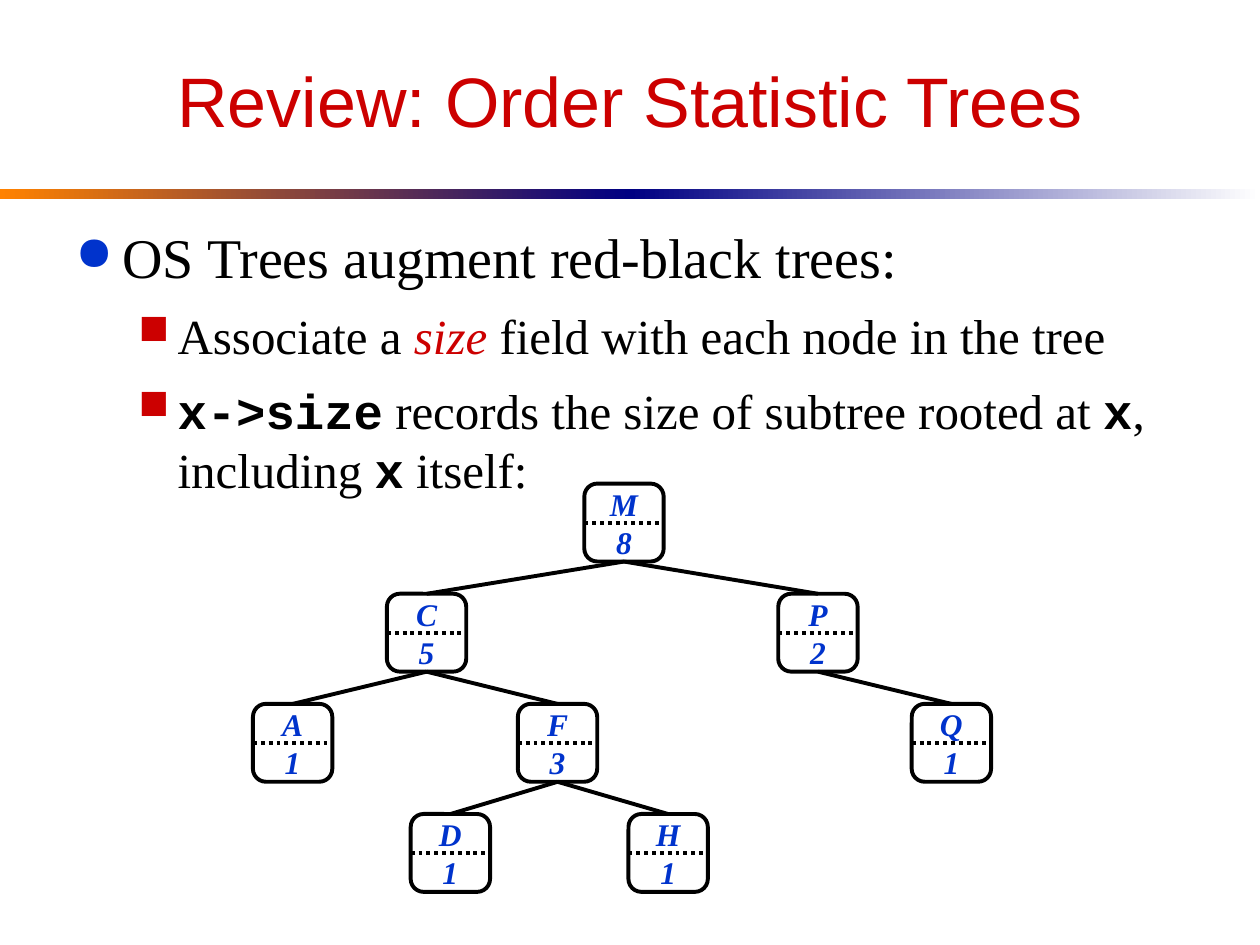
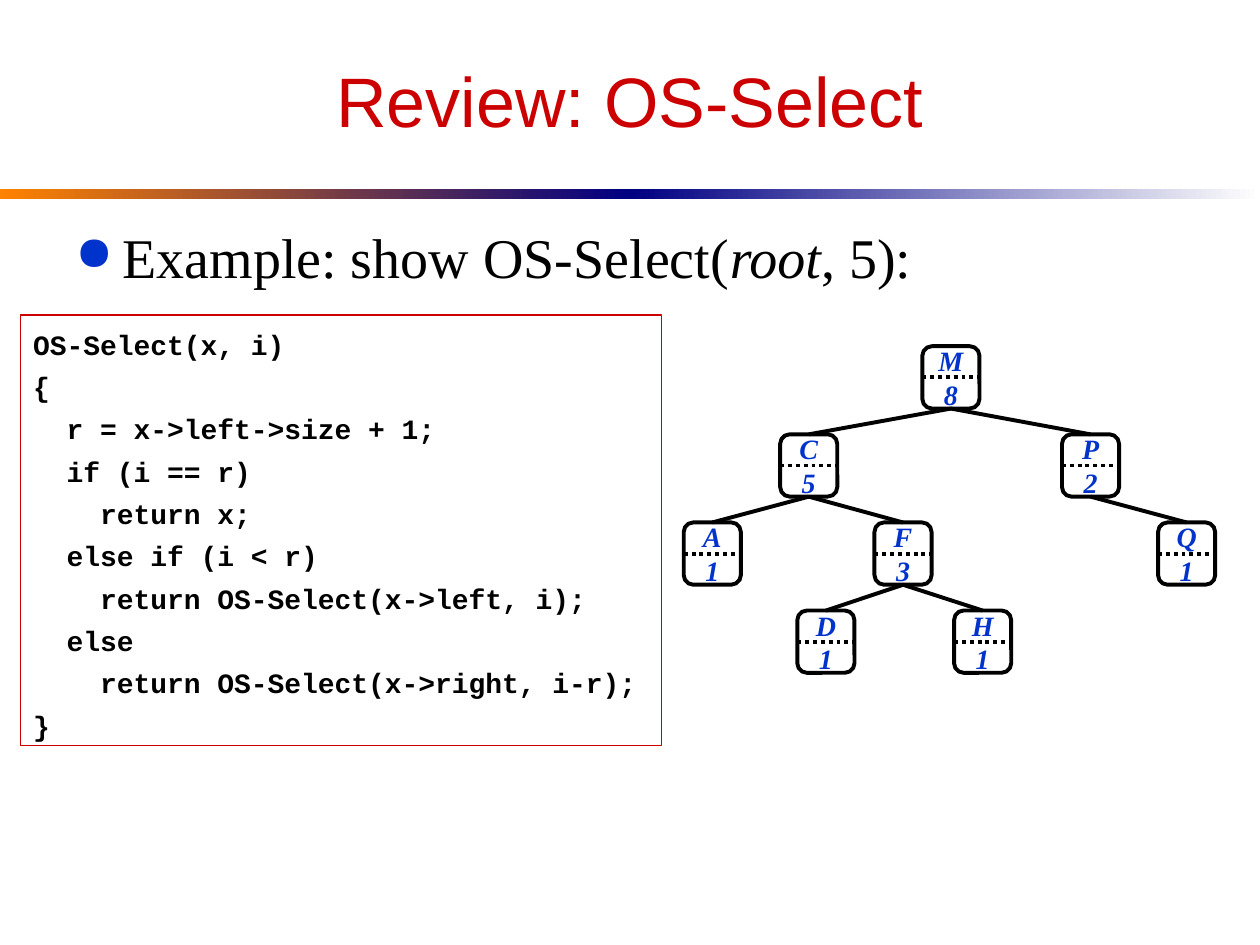
from dataclasses import dataclass

from lxml import etree
from pptx import Presentation, util as u
from pptx.dml.color import RGBColor
from pptx.enum import dml, shapes, text
from pptx.oxml.ns import qn
from pptx.util import Cm


@dataclass(frozen=True)
class Theme:
    red: str = "CC0000"
    blue: str = "0033CC"
    black: str = "000000"
    navy: str = "000082"
    orange: str = "FF8200"
    white: str = "FFFFFF"
    head: str = "Arial"
    body: str = "Times New Roman"
    mono: str = "Courier New"
    title_pt: int = 40
    body_pt: tuple = (32, 28)
    code_pt: int = 16
    thick: float = 2.25
    thin: float = 0.75


T = Theme()
ITALIC = {"italic": True}
CODE = {"name": T.mono, "bold": True}

SLIDES = [
    {
        "title": "Review: Order Statistic Trees",
        "body": [
            (0, [("OS Trees augment red-black trees:", {})]),
            (1, [("Associate a ", {}), ("size", {"italic": True, "color": T.red}),
                 (" field with each node in the tree", {})]),
            (1, [("x->size", CODE), (" records the size of subtree rooted at ", {}),
                 ("x", CODE), (", including ", {}), ("x", CODE), (" itself:", {})]),
        ],
        "tree": {"x": 5.9, "y": 9.75, "sx": 1, "sy": 1, "size": 18},
        "code": [],
    },
    {
        "title": "Review: OS-Select",
        "body": [
            (0, [("Example: show OS-Select(", {}), ("root", ITALIC), (", 5):", {})]),
        ],
        "tree": {"x": 14.36, "y": 6.98, "sx": 0.72, "sy": 0.8, "size": 16},
        "code": [
            "OS-Select(x, i)",
            "{",
            "  r = x->left->size + 1;",
            "  if (i == r)",
            "    return x;",
            "  else if (i < r)",
            "    return OS-Select(x->left, i);",
            "  else",
            "    return OS-Select(x->right, i-r);",
            "}",
        ],
    },
]

NODES = {
    "M": (8, 6.68, 0), "C": (5, 2.7, 1), "P": (2, 10.59, 1), "Q": (1, 13.28, 2),
    "A": (1, 0, 2), "F": (3, 5.34, 2), "D": (1, 3.18, 3), "H": (1, 7.57, 3),
}
EDGES = ["MC", "MP", "CA", "CF", "FD", "FH", "PQ"]
NODE_W, NODE_H, LEVEL_H = 1.6, 1.57, 2.22

LEVELS = [
    {"char": "●", "color": T.blue, "margin": 0.95, "hang": 0.95},
    {"char": "■", "color": T.red, "margin": 2.06, "hang": 0.79},
]


def rgb(value):
    return RGBColor.from_string(value)


def set_all(obj, values):
    for name, value in values.items():
        setattr(obj, name, value)


def add_run(p, content, size, color=T.black, **fmt):
    r = p.add_run()
    r.text = content
    r.font.color.rgb = rgb(color)
    set_all(r.font, {"name": T.body, "size": u.Pt(size), **fmt})


def frame(sp, **fmt):
    tf = sp.text_frame
    set_all(tf, {"word_wrap": True, "margin_left": Cm(0.25), "margin_right": Cm(0.25),
                 "margin_top": Cm(0.13), "margin_bottom": Cm(0.13), **fmt})
    return tf


def next_paragraph(tf, index, gap):
    p = tf.add_paragraph() if index else tf.paragraphs[0]
    p.alignment = text.PP_ALIGN.LEFT
    p.space_before = u.Pt(gap if index else 0)
    return p


def add_box(parent, kind, x, y, w, h):
    sp = parent.add_shape(kind, Cm(x), Cm(y), Cm(w), Cm(h))
    sp.shadow.inherit = False
    return sp


def outline(sp, color, width):
    sp.fill.background()
    sp.line.color.rgb = rgb(color)
    sp.line.width = u.Pt(width)


def add_line(parent, x1, y1, x2, y2):
    line = parent.add_connector(shapes.MSO_CONNECTOR.STRAIGHT, Cm(x1), Cm(y1), Cm(x2), Cm(y2))
    etree.SubElement(line._element.spPr, qn("a:effectLst"))
    line.line.color.rgb = rgb(T.black)
    line.line.width = u.Pt(T.thick)
    return line


def add_bullet(p, level):
    pPr = p._p.get_or_add_pPr()
    pPr.set("marL", str(Cm(level["margin"])))
    pPr.set("indent", str(-Cm(level["hang"])))
    color = etree.SubElement(pPr, qn("a:buClr"))
    etree.SubElement(color, qn("a:srgbClr"), val=level["color"])
    etree.SubElement(pPr, qn("a:buSzPct"), val="85000")
    etree.SubElement(pPr, qn("a:buChar"), char=level["char"])


def add_header(s, title):
    for i, colors in enumerate([(T.orange, T.navy), (T.navy, T.white)]):
        band = add_box(s.shapes, shapes.MSO_SHAPE.RECTANGLE, 12.7 * i, 3.81, 12.7, 0.2)
        band.line.fill.background()
        band.fill.gradient()
        band.fill.gradient_angle = 0
        for stop, color in zip(band.fill.gradient_stops, colors):
            stop.color.rgb = rgb(color)
    sp = s.shapes.add_textbox(Cm(1.27), Cm(0.64), Cm(22.86), Cm(2.75))
    p = frame(sp, vertical_anchor=text.MSO_ANCHOR.MIDDLE).paragraphs[0]
    p.alignment = text.PP_ALIGN.CENTER
    add_run(p, title, T.title_pt, T.red, name=T.head)


def add_body(s, items):
    sp = s.shapes.add_textbox(Cm(1.27), Cm(4.24), Cm(22.86), Cm(12.07))
    tf = frame(sp, margin_top=Cm(0.25))
    for i, (depth, runs) in enumerate(items):
        p = next_paragraph(tf, i, 9)
        add_bullet(p, LEVELS[depth])
        for content, fmt in runs:
            add_run(p, content, T.body_pt[depth], **fmt)


def add_tree(s, x, y, sx, sy, size):
    tree = s.shapes.add_group_shape().shapes
    w, h = NODE_W * sx, NODE_H * sy
    boxes = {}
    for key, (count, offset, depth) in NODES.items():
        left, top = x + offset * sx - w / 2, y + depth * LEVEL_H * sy
        sp = add_box(tree, shapes.MSO_SHAPE.ROUNDED_RECTANGLE, left, top, w, h)
        outline(sp, T.black, T.thick)
        tf = frame(sp, word_wrap=False, vertical_anchor=text.MSO_ANCHOR.MIDDLE)
        p = tf.paragraphs[0]
        p.alignment = text.PP_ALIGN.CENTER
        fmt = {"color": T.blue, "bold": True, "italic": True}
        add_run(p, key, size, **fmt)
        p.add_line_break()
        add_run(p, str(count), size, **fmt)
        divider = add_line(tree, left, top + h / 2, left + w, top + h / 2)
        divider.line.dash_style = dml.MSO_LINE.ROUND_DOT
        boxes[key] = sp
    for parent, child in EDGES:
        edge = add_line(tree, x, y, x, y)
        edge.begin_connect(boxes[parent], 2)
        edge.end_connect(boxes[child], 0)


def add_code(s, lines):
    sp = add_box(s.shapes, shapes.MSO_SHAPE.RECTANGLE, 0.42, 6.35, 12.91, 8.68)
    outline(sp, T.red, T.thin)
    tf = frame(sp, margin_top=Cm(0.25), vertical_anchor=text.MSO_ANCHOR.TOP)
    for i, line in enumerate(lines):
        add_run(next_paragraph(tf, i, 5), line, T.code_pt, **CODE)


def main():
    prs = Presentation()
    set_all(prs, {"slide_width": Cm(25.4), "slide_height": Cm(19.05)})
    for content in SLIDES:
        s = prs.slides.add_slide(prs.slide_layouts[6])
        add_header(s, content["title"])
        add_body(s, content["body"])
        add_tree(s, **content["tree"])
        if content["code"]:
            add_code(s, content["code"])
    prs.save("out.pptx")


if __name__ == "__main__":
    main()
